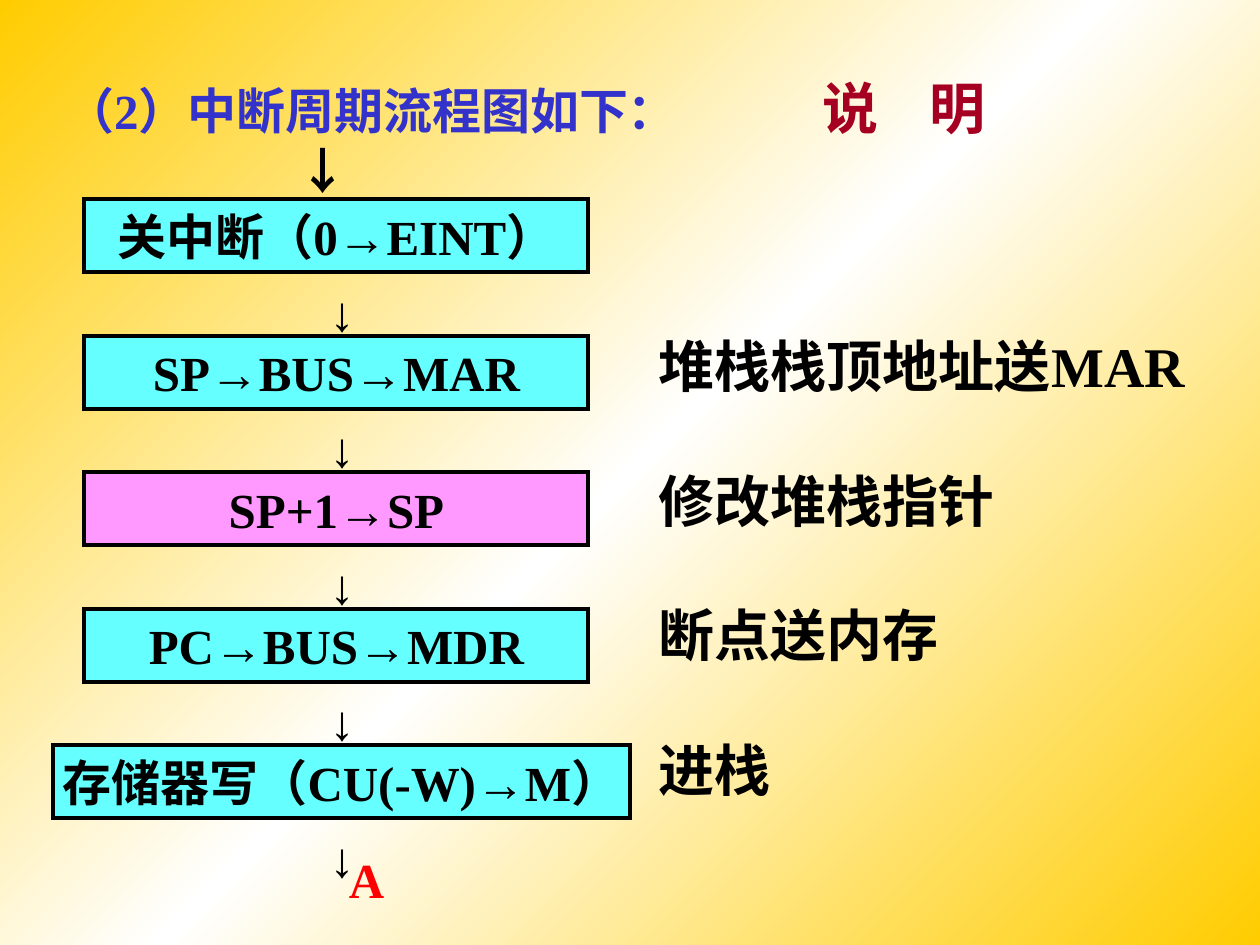
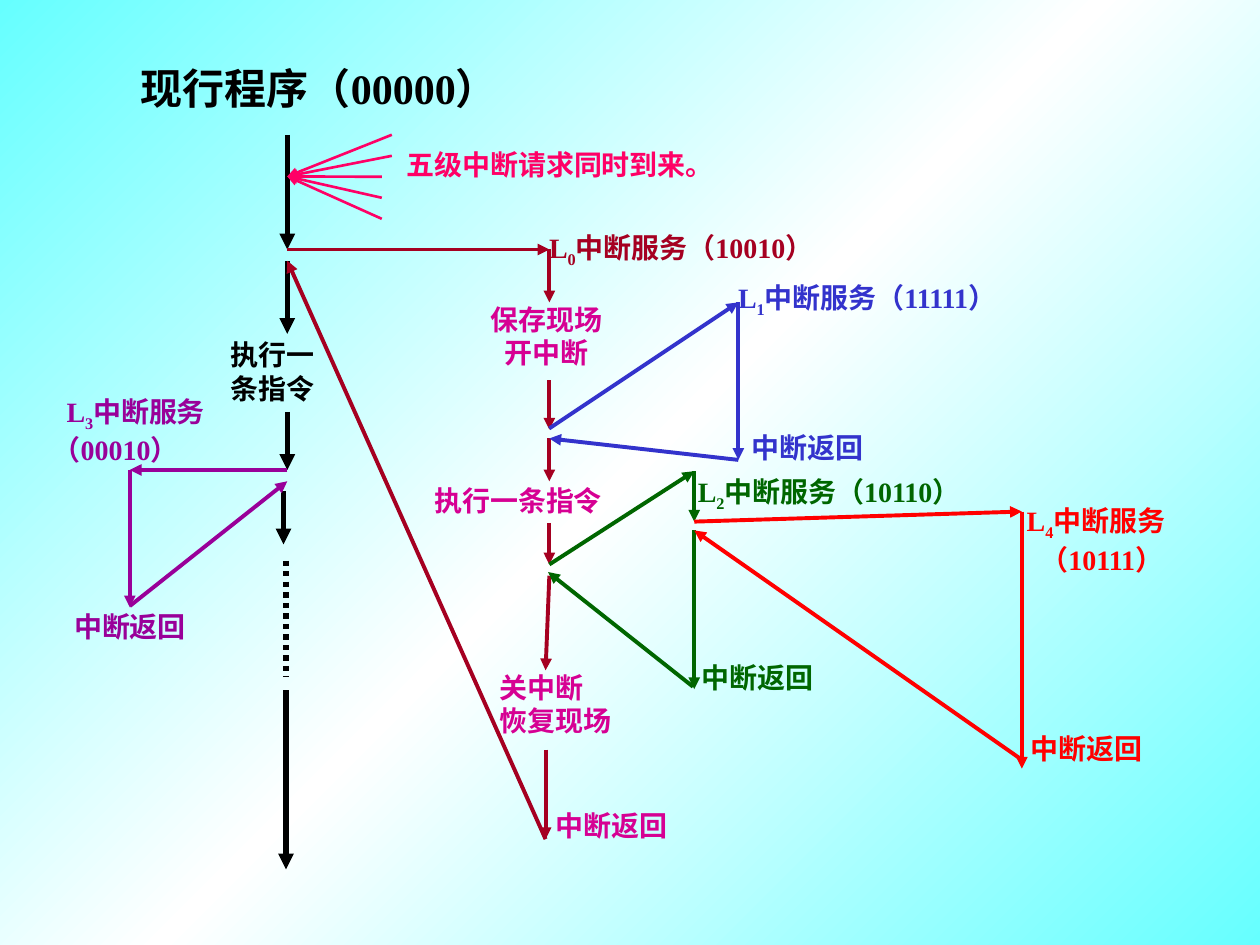
"""Builds two slides: the interrupt cycle flow chart and nested interrupt handling."""
from copy import deepcopy
from itertools import groupby
from lxml.etree import SubElement
from pptx import Presentation
from pptx.dml.color import RGBColor as RGB
from pptx.enum.dml import MSO_LINE as DASH
from pptx.enum.shapes import MSO_CONNECTOR as CONN, MSO_SHAPE as SHAPE
from pptx.enum.text import MSO_ANCHOR as ANCHOR, PP_ALIGN as ALIGN
from pptx.oxml.ns import qn
from pptx.util import Inches, Pt

HUES = {
    "gold": "FFCC00", "aqua": "66FFFF", "white": "FFFFFF", "black": "000000",
    "pink": "FF99FF", "rose": "FF0066", "wine": "A50021", "blue": "3333CC",
    "plum": "D60093", "green": "006600", "red": "FF0000", "purple": "990099",
}
HUES = {name: RGB.from_string(code) for name, code in HUES.items()}
SUBS = "₀₁₂₃₄"


def write(frame, lines, hue, size, align=ALIGN.LEFT, pads=(0, 0)):
    for i, line in enumerate(lines):
        para = frame.add_paragraph() if i else frame.paragraphs[0]
        para.alignment = align
        if pads[i]:
            para._p.get_or_add_pPr().set("marL", str(Inches(pads[i])))
        font = para.font
        font.name, font.size, font.bold = "Times New Roman", Pt(size), True
        font.color.rgb = HUES[hue]
        for kind, part in groupby(line, lambda c: "arrow" if c in "→↓" else c in SUBS):
            run = para.add_run()
            run.text = "".join(part)
            if kind == "arrow":
                run.font.name = "Arial"
            elif kind:
                run.text = str(SUBS.index(run.text))
                run._r.get_or_add_rPr().set("baseline", "-25000")


def label(page, x, y, wide, high, hue, size, lines, **style):
    box = page.shapes.add_textbox(Inches(x), Inches(y), Inches(wide), Inches(high))
    box.text_frame.word_wrap = True
    write(box.text_frame, lines, hue, size, **style)


deck = Presentation()
deck.slide_width, deck.slide_height = Inches(10), Inches(7.5)
pages = []
for edge in ("gold", "aqua"):
    page = deck.slides.add_slide(deck.slide_layouts[6])
    fill = page.background.fill
    fill.gradient()
    fill.gradient_angle = 315
    stops = page.element.find(".//" + qn("a:gsLst"))
    stops.insert(1, deepcopy(stops[0]))
    for stop, hue, place in zip(fill.gradient_stops, (edge, "white", edge), (0, 0.5, 1)):
        stop.color.rgb = HUES[hue]
        stop.position = place
    pages.append(page)
flow, nest = pages

head = flow.shapes.add_textbox(Inches(0.42), Inches(0.58), Inches(9.17), Inches(1)).text_frame
head.word_wrap, head.vertical_anchor = True, ANCHOR.MIDDLE
para = head.paragraphs[0]
tabs = SubElement(para._p.get_or_add_pPr(), qn("a:tabLst"))
for pos in (1.85, 6.01, 6.86):
    SubElement(tabs, qn("a:tab"), pos=str(Inches(pos)), algn="l")
para.font.name, para.font.bold = "Times New Roman", True
for text, hue, size in (("（2）中断周期流程图如下：", "blue", 28),
                        ("\t说\t明", "wine", 32), ("\t↓", "black", 28)):
    if "↓" in text:
        para.add_line_break()
    run = para.add_run()
    run.text = text
    run.font.size, run.font.color.rgb = Pt(size), HUES[hue]
run.font.name = "Arial"

steps = [
    ("关中断（0→EINT）", "aqua", ""),
    ("SP→BUS→MAR", "aqua", "堆栈栈顶地址送MAR"),
    ("SP+1→SP", "pink", "修改堆栈指针"),
    ("PC→BUS→MDR", "aqua", "断点送内存"),
    ("存储器写（CU(-W)→M）", "aqua", "进栈"),
]
for i, (text, hue, note) in enumerate(steps):
    drop = i * 13 / 12
    left, wide = (0.42, 4.58) if i == 4 else (0.67, 4)
    box = flow.shapes.add_shape(SHAPE.FLOWCHART_PROCESS, Inches(left), Inches(1.58 + drop),
                                Inches(wide), Inches(0.58))
    box.shadow.inherit = False
    box.fill.solid()
    box.fill.fore_color.rgb = HUES[hue]
    box.line.color.rgb, box.line.width = HUES["black"], Pt(2.25)
    SubElement(box.line._get_or_add_ln(), qn("a:miter"), lim="800000")
    box.text_frame.word_wrap, box.text_frame.vertical_anchor = False, ANCHOR.MIDDLE
    write(box.text_frame, [text], "black", 28, ALIGN.CENTER)
    label(flow, 2.52, 2.19 + drop, 0.45, 0.57, "black", 28, ["↓"])
    if note:
        label(flow, 5.13, 2.58 + (i - 1) * 1.07, 4.8, 0.63, "black", 32, [note])
label(flow, 2.67, 6.69, 0.6, 0.57, "red", 28, ["A"])

label(nest, 1.02, 0.45, 3.8, 0.5, "black", 24, ["现行程序（00000）"])

rays = [(x, 1.07 + i / 6, 2.28, 1.4) for i, x in enumerate((3.11, 3.11, 3.03, 3.03, 3.03))]
paths = {
    "black": [(2.28, 1.07, 2.28, 1.98), (2.28, 2.07, 2.28, 2.65), (2.28, 3.27, 2.28, 3.73),
              (2.25, 3.9, 2.25, 4.32), (2.27, 4.45, 2.27, 5.37), (2.27, 5.48, 2.27, 6.9)],
    "rose": rays,
    "wine": [(2.28, 1.98, 4.36, 1.98), (4.36, 1.98, 4.36, 2.4), (4.36, 3.02, 4.36, 3.41),
             (4.36, 3.48, 4.36, 3.82), (4.36, 4.15, 4.36, 4.48), (4.36, 4.57, 4.33, 5.32),
             (4.33, 5.95, 4.33, 6.66), (4.33, 6.66, 2.28, 2.07)],
    "blue": [(4.36, 3.4, 5.86, 2.4), (5.86, 2.4, 5.86, 3.65), (5.86, 3.65, 4.36, 3.48)],
    "green": [(4.36, 4.48, 5.51, 3.74), (5.51, 3.74, 5.51, 4.14), (5.51, 4.21, 5.51, 5.47),
              (5.5, 5.45, 4.35, 4.54)],
    "red": [(5.51, 4.14, 8.11, 4.06), (8.11, 4.06, 8.11, 6.1), (8.11, 6.03, 5.51, 4.21)],
    "purple": [(2.28, 3.73, 1.03, 3.73), (1.03, 3.73, 1.03, 4.82), (1.03, 4.81, 2.28, 3.82)],
}
widths = {"black": 3, "rose": 1.5}
for hue, legs in paths.items():
    for leg in legs:
        link = nest.shapes.add_connector(CONN.STRAIGHT, *map(Inches, leg))
        link.line.color.rgb, link.line.width = HUES[hue], Pt(widths.get(hue, 2.25))
        if leg[1] == 4.45:
            link.line.dash_style = DASH.ROUND_DOT
        else:
            SubElement(link.line._get_or_add_ln(), qn("a:tailEnd"), type="triangle")
        SubElement(link._element.spPr, qn("a:effectLst"))

for x, y, wide, hue, text in (
    (3.13, 1.12, 2.8, "rose", "五级中断请求同时到来。"),
    (4.26, 1.78, 2.7, "wine", "L₀中断服务（10010）"),
    (5.76, 2.18, 2.7, "blue", "L₁中断服务（11111）"),
    (5.44, 3.72, 2.7, "green", "L₂中断服务（10110）"),
    (3.35, 3.79, 1.8, "plum", "执行一条指令"),
    (5.87, 3.37, 1.3, "blue", "中断返回"),
    (5.47, 5.19, 1.3, "green", "中断返回"),
    (8.08, 5.76, 1.3, "red", "中断返回"),
    (4.31, 6.37, 1.3, "plum", "中断返回"),
    (0.49, 4.79, 1.3, "purple", "中断返回"),
):
    label(nest, x, y, wide, 0.37, hue, 16, [text])

for x, y, wide, hue, lines, align, pads in (
    (3.69, 2.35, 1.3, "plum", ["保存现场", "开中断"], ALIGN.CENTER, (0, 0)),
    (3.87, 5.27, 1.3, "plum", ["关中断", "恢复现场"], ALIGN.LEFT, (0, 0)),
    (1.73, 2.63, 1.1, "black", ["执行一", "条指令"], ALIGN.LEFT, (0, 0)),
    (0.32, 3.08, 1.65, "purple", ["L₃中断服务", "（00010）"], ALIGN.LEFT, (0.11, 0)),
    (8.05, 3.95, 1.65, "red", ["L₄中断服务", "（10111）"], ALIGN.LEFT, (0, 0.11)),
):
    label(nest, x, y, wide, 0.65, hue, 16, lines, align=align, pads=pads)

deck.save("out.pptx")
